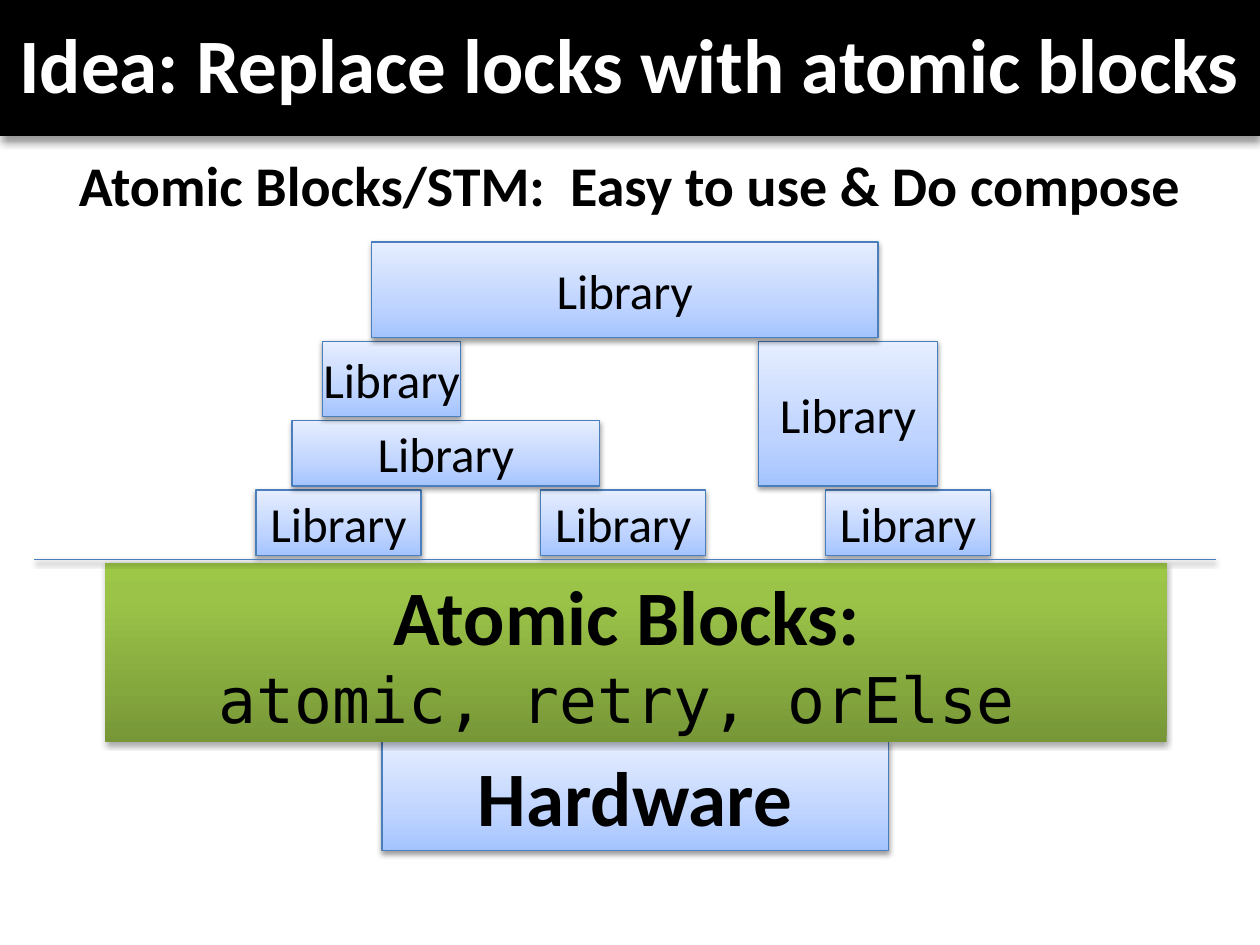
from lxml.etree import SubElement
from pptx import Presentation
from pptx.dml.color import RGBColor
from pptx.enum.shapes import MSO_CONNECTOR, MSO_SHAPE
from pptx.enum.text import MSO_ANCHOR, PP_ALIGN
from pptx.oxml.ns import qn
from pptx.util import Cm, Pt


def rgb(value):
    return RGBColor.from_string(value)


def write(para, text, size=28, font="Calibri", color="000000", bold=False):
    para.alignment = PP_ALIGN.CENTER
    span = para.add_run()
    span.text = text
    span.font.size = Pt(size)
    span.font.name = font
    span.font.bold = bold
    span.font.color.rgb = rgb(color)


class SlideBuilder:
    blue = [(0, "A4C4FF"), (35, "BFD4FF"), (100, "E6EEFF")]
    green = [(0, "779737"), (80, "9BC348"), (100, "9DC746")]
    edge = "4B7EBC"

    def __init__(self, deck):
        self.page = deck.slides.add_slide(deck.slide_layouts[6])

    def shadow(self, item, alpha=38, blur=3.1, distance=1.6):
        effects = SubElement(item._element.spPr, qn("a:effectLst"))
        outer = SubElement(effects, qn("a:outerShdw"), blurRad=str(Pt(blur)),
                           dist=str(Pt(distance)), dir="5400000", rotWithShape="0")
        color = SubElement(outer, qn("a:srgbClr"), val="000000")
        SubElement(color, qn("a:alpha"), val=str(alpha * 1000))

    def outline(self, line):
        line.color.rgb = rgb(self.edge)
        line.width = Pt(0.75)

    def gradient(self, shape, stops):
        shape.fill.gradient()
        shape.fill.gradient_angle = 90
        stop_list = shape._element.spPr.find(".//" + qn("a:gsLst"))
        stop_list.clear()
        for position, value in stops:
            stop = SubElement(stop_list, qn("a:gs"), pos=str(position * 1000))
            SubElement(stop, qn("a:srgbClr"), val=value)

    def rectangle(self, left, top, width, height):
        return self.page.shapes.add_shape(
            MSO_SHAPE.RECTANGLE, Cm(left), Cm(top), Cm(width), Cm(height))

    def banner(self, *place):
        shape = self.rectangle(*place)
        shape.fill.solid()
        shape.fill.fore_color.rgb = rgb("000000")
        shape.line.fill.background()
        self.shadow(shape, 40, 4, 4)

    def label(self, text, left, top, width, height, anchor, **style):
        box = self.page.shapes.add_textbox(Cm(left), Cm(top), Cm(width), Cm(height))
        frame = box.text_frame
        frame.word_wrap = True
        frame.vertical_anchor = anchor
        write(frame.paragraphs[0], text, **style)

    def block(self, *place, stops=blue, outlined=True):
        shape = self.rectangle(*place)
        self.gradient(shape, stops)
        if outlined:
            self.outline(shape.line)
            self.shadow(shape)
        else:
            shape.line.fill.background()
            self.shadow(shape, 35, 3.1, 1.8)
        frame = shape.text_frame
        frame.word_wrap = False
        frame.vertical_anchor = MSO_ANCHOR.MIDDLE
        return frame

    def library(self, *place):
        write(self.block(*place).paragraphs[0], "Library")

    def divider(self, start, end, top):
        line = self.page.shapes.add_connector(
            MSO_CONNECTOR.STRAIGHT, Cm(start), Cm(top), Cm(end), Cm(top))
        self.outline(line.line)
        self.shadow(line)


def main():
    deck = Presentation()
    deck.slide_width, deck.slide_height = Cm(25.4), Cm(19.05)
    slide = SlideBuilder(deck)

    slide.banner(0, 0, 25.4, 2.74)
    slide.label("Idea: Replace locks with atomic blocks", 0, 0.2, 25.4, 3.18,
                MSO_ANCHOR.TOP, size=44, color="FFFFFF", bold=True)
    slide.label("Atomic Blocks/STM:  Easy to use & Do compose", 0, 2.82, 25.4, 1.8,
                MSO_ANCHOR.MIDDLE, size=32, bold=True)

    hardware = slide.block(7.7, 14.94, 10.21, 2.21)
    write(hardware.paragraphs[0], "Hardware", size=44, bold=True)

    atomic = slide.block(2.11, 11.35, 21.41, 3.61,
                         stops=slide.green, outlined=False)
    write(atomic.paragraphs[0], "Atomic Blocks: ", size=44, bold=True)
    write(atomic.add_paragraph(), "atomic, retry, orElse ", size=36,
          font="DejaVu Sans Mono")

    for column in range(3):
        slide.library(5.16 + 5.74 * column, 9.88, 3.33, 1.32)
    for place in [(5.89, 8.48, 6.2, 1.32), (6.5, 6.88, 2.79, 1.52),
                  (15.29, 6.88, 3.61, 2.92), (7.49, 4.88, 10.21, 1.93)]:
        slide.library(*place)
    slide.divider(0.69, 24.51, 11.28)

    deck.save("out.pptx")


if __name__ == "__main__":
    main()
